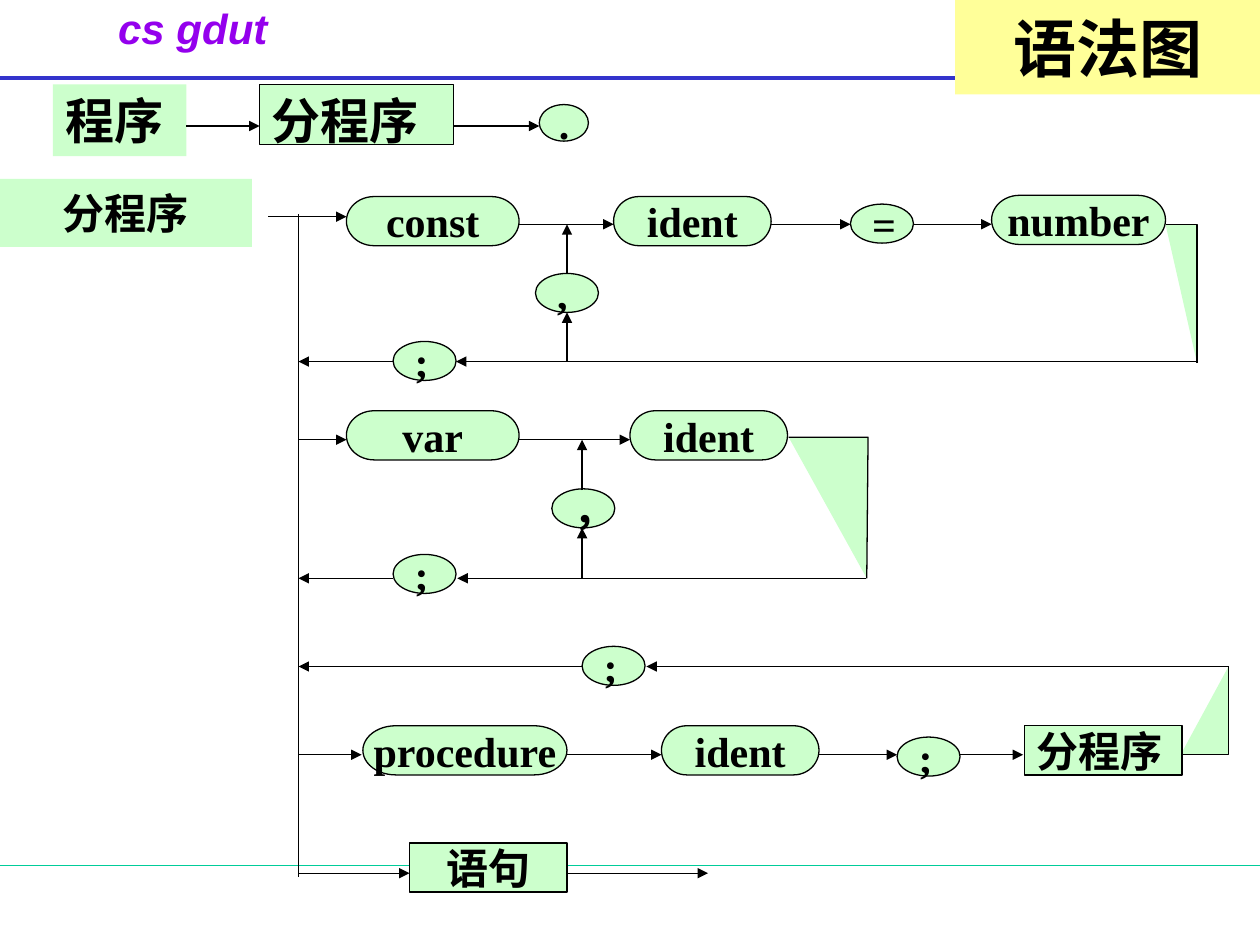
from dataclasses import dataclass

from lxml import etree
from pptx import Presentation
from pptx.dml.color import RGBColor
from pptx.enum import shapes, text
from pptx.oxml import ns
from pptx.util import Inches, Pt

GREEN = RGBColor(0xCC, 0xFF, 0xCC)
YELLOW = RGBColor(0xFF, 0xFF, 0x99)
BLACK = RGBColor(0, 0, 0)
BLUE = RGBColor(0x33, 0x33, 0xCC)
TEAL = RGBColor(0x00, 0xCC, 0x99)
PURPLE = RGBColor(0x94, 0x00, 0xED)
SERIF, CJK = "Times New Roman", "Noto Sans CJK SC"

RECT = shapes.MSO_SHAPE.RECTANGLE
PROCESS = shapes.MSO_SHAPE.FLOWCHART_PROCESS
TERMINAL = shapes.MSO_SHAPE.FLOWCHART_TERMINATOR
OVAL = shapes.MSO_SHAPE.FLOWCHART_CONNECTOR
LEFT, CENTER, JUSTIFY = (text.PP_ALIGN.LEFT, text.PP_ALIGN.CENTER,
                         text.PP_ALIGN.JUSTIFY)
TOP, MIDDLE = text.MSO_ANCHOR.TOP, text.MSO_ANCHOR.MIDDLE

SPINE = 2.37  # x of the vertical line all branches hang on


@dataclass
class Node:
    label: str
    x: float
    y: float
    w: float = 1.25
    h: float = 0.39
    kind: int = TERMINAL
    size: int = 24
    align: int = CENTER
    anchor: int = MIDDLE
    wrap: bool = False
    font: str = SERIF
    outlined: bool = True


def symbol(label: str, x: float, y: float, w: float = 0.5, h: float = 0.31,
           wrap: bool = False) -> Node:
    return Node(label, x, y, w, h, OVAL, align=JUSTIFY, wrap=wrap)


def style_text(sp, label: str, size: int, color: RGBColor, font: str,
               align: int, anchor: int, wrap: bool):
    tf = sp.text_frame
    tf.text = label
    tf.auto_size = text.MSO_AUTO_SIZE.NONE
    tf.word_wrap = wrap
    tf.vertical_anchor = anchor
    p = tf.paragraphs[0]
    p.alignment = align
    r = p.runs[0]
    r.font.size, r.font.bold = Pt(size), True
    r.font.color.rgb = color
    r.font.name = font
    # East Asian typeface
    etree.SubElement(r.font._element, ns.qn("a:ea"), typeface=CJK)
    return r


def paint(sp, outlined: bool = True) -> None:
    sp.shadow.inherit = False
    sp.fill.solid()
    sp.fill.fore_color.rgb = GREEN
    if outlined:
        sp.line.color.rgb = BLACK
        sp.line.width = Pt(0.75)
    else:
        sp.line.fill.background()


def add_node(s, n: Node) -> None:
    sp = s.shapes.add_shape(n.kind, Inches(n.x), Inches(n.y),
                            Inches(n.w), Inches(n.h))
    paint(sp, n.outlined)
    style_text(sp, n.label, n.size, BLACK, n.font, n.align, n.anchor, n.wrap)


def add_line(s, x1: float, y1: float, x2: float, y2: float,
             color: RGBColor = BLACK, width: float = 0.75,
             arrow: bool = False) -> None:
    c = s.shapes.add_connector(shapes.MSO_CONNECTOR.STRAIGHT, Inches(x1),
                               Inches(y1), Inches(x2), Inches(y2))
    c.line.color.rgb = color
    c.line.width = Pt(width)
    if arrow:
        etree.SubElement(c.line._get_or_add_ln(), ns.qn("a:tailEnd"),
                         type="triangle")
    etree.SubElement(c._element.spPr, ns.qn("a:effectLst"))


def add_corner(s, start: tuple, *points: tuple) -> None:
    fb = s.shapes.build_freeform(Inches(start[0]), Inches(start[1]))
    fb.add_line_segments([(Inches(x), Inches(y)) for x, y in points],
                         close=False)
    paint(fb.convert_to_shape())


NODES = [
    # Program rule
    Node("程序", 0.42, 0.67, 1.06, 0.57, RECT, 28, LEFT, TOP, True, CJK, False),
    Node("分程序", 2.06, 0.67, 1.54, 0.48, RECT, 28, JUSTIFY, TOP, True),
    symbol(".", 4.28, 0.83, 0.39, 0.29),
    # Block rule: constants
    Node("分程序", 0, 1.42, 2, 0.54, RECT, wrap=True, font=CJK, outlined=False),
    Node("const", 2.75, 1.56, 1.37),
    Node("ident", 4.87, 1.56),
    symbol("=", 6.75, 1.62, wrap=True),
    Node("number", 7.87, 1.55, 1.38),
    symbol(",", 4.25, 2.17),
    symbol(";", 3.12, 2.71),
    # Variables
    Node("var", 2.75, 3.26, 1.37),
    Node("ident", 5, 3.26),
    symbol("，", 4.38, 3.88, wrap=True),
    symbol(";", 3.12, 4.4),
    # Procedures
    symbol(";", 4.62, 5.13),
    Node("procedure", 2.88, 5.76, 1.62),
    Node("ident", 5.25, 5.76),
    symbol(";", 7.12, 5.85),
    Node("分程序", 8.13, 5.76, kind=PROCESS, align=JUSTIFY, wrap=True),
    # Statement
    Node("语句", 3.25, 6.69, kind=PROCESS, wrap=True),
]

# Horizontal arrows: y -> (from x, to x) pairs
ACROSS = {
    1: [(1.48, 2.06), (3.6, 4.28)],
    1.72: [(2.13, 2.75)],
    1.78: [(4.12, 4.87), (6.12, 6.75), (7.25, 7.87)],
    2.87: [(9.5, 3.62), (3.12, SPINE)],
    3.49: [(SPINE, 2.75), (4.12, 5)],
    4.59: [(6.87, 3.63), (3.12, SPINE)],
    5.29: [(9.75, 5.13), (4.62, SPINE)],
    5.99: [(SPINE, 2.87), (4.5, 5.25), (6.5, 7.12), (7.62, 8.12)],
    6.93: [(SPINE, 3.25), (4.5, 5.62)],
}
# Upward arrows: x -> (from y, to y) pairs
UPWARD = {
    4.5: [(2.87, 2.48), (2.17, 1.78)],
    4.62: [(4.59, 4.19), (3.89, 3.49)],
}
CORNERS = [
    [(9.25, 1.78), (9.5, 1.78), (9.5, 2.88)],
    [(6.26, 3.47), (6.89, 3.47), (6.88, 4.59)],
    [(9.37, 5.99), (9.75, 5.99), (9.75, 5.29)],
]


def main() -> None:
    prs = Presentation()
    prs.slide_width, prs.slide_height = Inches(10), Inches(7.5)
    s = prs.slides.add_slide(prs.slide_layouts[5])

    # Header text and rules
    box = s.shapes.add_textbox(Inches(0.19), Inches(-0.03),
                               Inches(2.68), Inches(0.62))
    r = style_text(box, "cs gdut", 24, PURPLE, "Arial", CENTER, TOP, False)
    r.font.italic = True
    add_line(s, 0, 0.62, 10, 0.62, BLUE, 2.25)
    add_line(s, 0, 6.87, 10, 6.87, TEAL)

    # Syntax diagram
    for corner in CORNERS:
        add_corner(s, *corner)
    for n in NODES:
        add_node(s, n)
    add_line(s, SPINE, 1.7, SPINE, 6.96)
    for y, spans in ACROSS.items():
        for x1, x2 in spans:
            add_line(s, x1, y, x2, y, arrow=True)
    for x, spans in UPWARD.items():
        for y1, y2 in spans:
            add_line(s, x, y1, x, y2, arrow=True)

    # Title, in front of the header rule
    title = s.shapes.title
    title.left, title.top = Inches(7.58), Inches(0)
    title.width, title.height = Inches(2.42), Inches(0.75)
    title.fill.solid()
    title.fill.fore_color.rgb = YELLOW
    style_text(title, "语法图", 36, BLACK, CJK, CENTER, MIDDLE, True)
    title._element.getparent().append(title._element)

    prs.save("out.pptx")


if __name__ == "__main__":
    main()
